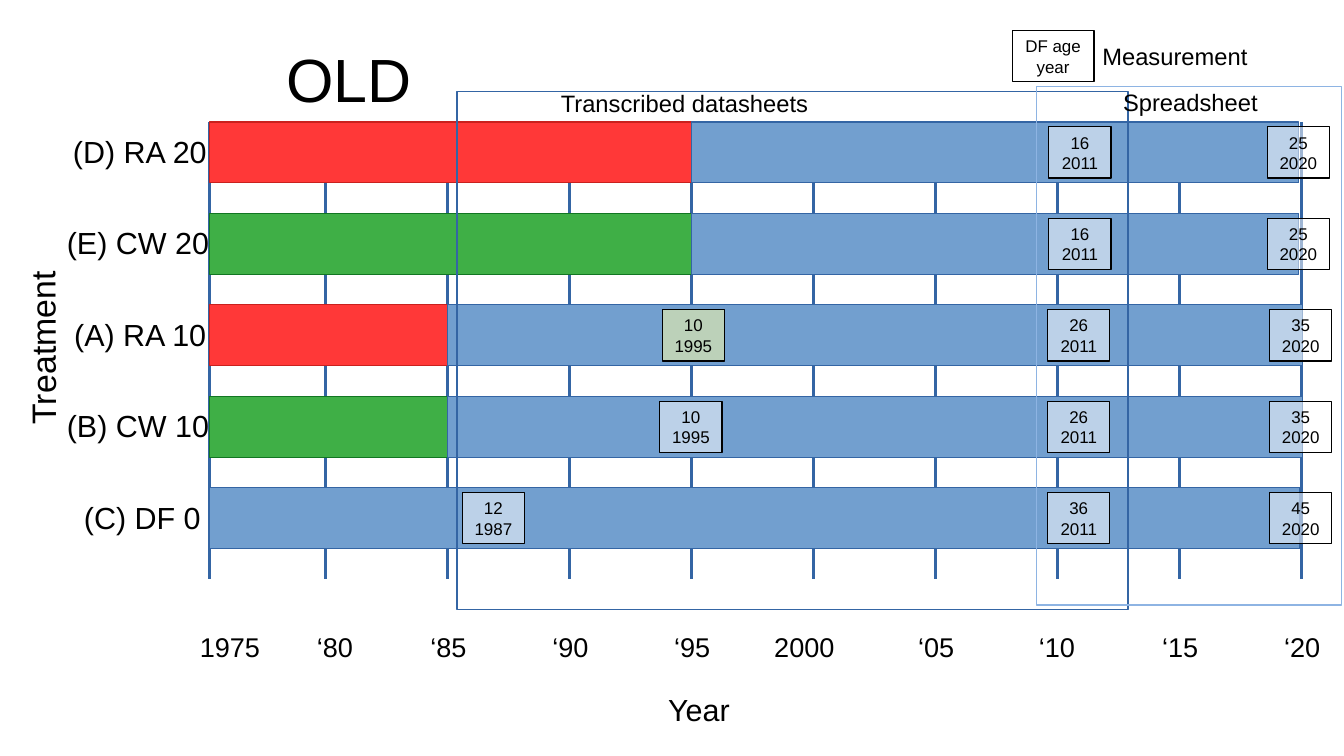
from dataclasses import dataclass
from typing import Optional

from lxml.etree import SubElement
from pptx import Presentation
from pptx.dml.color import RGBColor
from pptx.enum.shapes import MSO_CONNECTOR as Link, MSO_SHAPE as Shape
from pptx.enum.text import MSO_ANCHOR as Anchor, PP_ALIGN as Align
from pptx.oxml.ns import qn
from pptx.util import Inches, Pt


@dataclass(frozen=True)
class Theme:
    font: str = "Arial"
    black: str = "000000"
    white: str = "FFFFFF"
    yellow: str = "FFFFA6"
    blue: str = "729FCF"
    navy: str = "3465A4"
    sky: str = "8EB4E3"
    red: str = "FF3838"
    maroon: str = "C9211E"
    green: str = "3FAF46"
    forest: str = "127622"
    title: int = 36
    axis: int = 20
    row: int = 18
    tick: int = 16
    note: int = 14
    mark: int = 10
    opaque: int = 53


@dataclass(frozen=True)
class Box:
    x: float
    y: float
    w: float
    h: float


@dataclass(frozen=True)
class Label:
    text: str
    box: Box
    size: int
    turn: float = 0


@dataclass(frozen=True)
class Mark:
    x: float
    age: str
    year: str
    fill: str = Theme.white


@dataclass(frozen=True)
class Row:
    name: str
    x: float
    split: float
    end: float
    fill: str
    line: str
    marks: tuple[Mark, ...]


T = Theme()
START, TOP, STEP, BAR, FOOT = 1.72, 1, 0.75, 0.5, 4.75

ROWS = (
    Row("(D) RA 20", 0.5, 5.67, 10.65, T.red, T.maroon,
        (Mark(8.6, "16", "2011"), Mark(10.39, "25", "2020"))),
    Row("(E) CW 20", 0.45, 5.67, 10.65, T.green, T.forest,
        (Mark(8.6, "16", "2011"), Mark(10.39, "25", "2020"))),
    Row("(A) RA 10", 0.51, 3.67, 10.68, T.red, T.maroon,
        (Mark(5.43, "10", "1995", T.yellow), Mark(8.59, "26", "2011"),
         Mark(10.41, "35", "2020"))),
    Row("(B) CW 10", 0.45, 3.67, 10.68, T.green, T.forest,
        (Mark(5.41, "10", "1995"), Mark(8.59, "26", "2011"), Mark(10.41, "35", "2020"))),
    Row("(C) DF 0", 0.59, START, 10.66, T.blue, T.navy,
        (Mark(3.79, "12", "1987"), Mark(8.59, "36", "2011"), Mark(10.41, "45", "2020"))),
)

YEARS = (("1975", 1.54), ("‘80", 2.5), ("‘85", 3.43), ("‘90", 4.43), ("‘95", 5.43),
         ("2000", 6.25), ("‘05", 7.43), ("‘10", 8.42), ("‘15", 9.43), ("‘20", 10.43))

NOTES = (
    Label("Year", Box(5.38, 5.62, 0.87, 0.38), T.row),
    Label("Treatment", Box(-0.43, 2.61, 1.53, 0.41), T.axis, 269.7),
    Label("Measurement", Box(8.94, 0.29, 1.53, 0.38), T.note),
    Label("Transcribed datasheets", Box(4.5, 0.68, 2.5, 0.53), T.note),
    Label("Spreadsheet", Box(9.11, 0.67, 1.39, 0.53), T.note),
)


def rgb(code: str) -> RGBColor:
    return RGBColor.from_string(code)


def place(box: Box) -> tuple:
    return Inches(box.x), Inches(box.y), Inches(box.w), Inches(box.h)


def write(frame, lines: tuple[str, ...], size: int, align=Align.LEFT, anchor=Anchor.TOP) -> None:
    frame.word_wrap = True
    frame.vertical_anchor = anchor
    frame.margin_left = frame.margin_right = Inches(0.1)
    frame.margin_top = frame.margin_bottom = Inches(0.05)
    for i, line in enumerate(lines):
        para = frame.add_paragraph() if i else frame.paragraphs[0]
        para.alignment = align
        run = para.add_run()
        run.text = line
        run.font.name = T.font
        run.font.size = Pt(size)
        run.font.color.rgb = rgb(T.black)


def draw_text(slide, label: Label) -> None:
    shape = slide.shapes.add_textbox(*place(label.box))
    shape.rotation = label.turn
    write(shape.text_frame, (label.text,), label.size)


def draw_rect(slide, box: Box, fill: Optional[str], line: str, width: float = 0):
    shape = slide.shapes.add_shape(Shape.RECTANGLE, *place(box))
    shape.shadow.inherit = False
    if fill:
        shape.fill.solid()
        shape.fill.fore_color.rgb = rgb(fill)
    else:
        shape.fill.background()
    shape.line.color.rgb = rgb(line)
    shape.line.width = Pt(width)
    return shape


def draw_mark(slide, box: Box, lines: tuple[str, str], fill: str) -> None:
    shape = draw_rect(slide, box, fill, T.black)
    color = shape.element.spPr.find(qn("a:solidFill")).find(qn("a:srgbClr"))
    SubElement(color, qn("a:alpha")).set("val", str(T.opaque * 1000))
    write(shape.text_frame, lines, T.mark, Align.CENTER, Anchor.MIDDLE)


def draw_tick(slide, x: float) -> None:
    line = slide.shapes.add_connector(
        Link.STRAIGHT, Inches(x), Inches(TOP), Inches(x), Inches(FOOT))
    line.line.color.rgb = rgb(T.navy)
    line.line.width = Pt(0)
    SubElement(line.element.spPr, qn("a:effectLst"))


def draw_row(slide, row: Row, y: float) -> None:
    draw_text(slide, Label(row.name, Box(row.x, y + 0.04, 1.5, 0.38), T.row))
    if row.split > START:
        draw_rect(slide, Box(START, y, row.split - START, BAR), row.fill, row.line)
    draw_rect(slide, Box(row.split, y, row.end - row.split, BAR), T.blue, T.navy)
    for mark in row.marks:
        draw_mark(slide, Box(mark.x, y + 0.04, 0.51, 0.42), (mark.age, mark.year), mark.fill)


def main() -> None:
    deck = Presentation()
    deck.slide_width, deck.slide_height = Inches(11.02), Inches(6.2)
    slide = deck.slides.add_slide(deck.slide_layouts[5])

    # Title
    title = slide.shapes.title
    title.left, title.top, title.width, title.height = place(Box(2.25, 0.29, 1.25, 0.71))
    write(title.text_frame, ("OLD",), T.title)

    # Year axis
    for x in (START, *(2.67 + i for i in range(9))):
        draw_tick(slide, x)
    for year, x in YEARS:
        wide = 0.75 if len(year) == 4 else 0.58
        draw_text(slide, Label(year, Box(x, 5.12, wide, 0.38), T.tick))

    # Treatment rows
    for i, row in enumerate(ROWS):
        draw_row(slide, row, TOP + i * STEP)

    # Legend, source frames and notes
    draw_mark(slide, Box(8.3, 0.25, 0.67, 0.42), ("DF age", "year"), T.white)
    draw_rect(slide, Box(3.75, 0.75, 5.5, 4.25), None, T.navy, 1)
    draw_rect(slide, Box(8.5, 0.71, 2.5, 4.25), None, T.sky, 1)
    for note in NOTES:
        draw_text(slide, note)

    deck.save("out.pptx")


if __name__ == "__main__":
    main()
